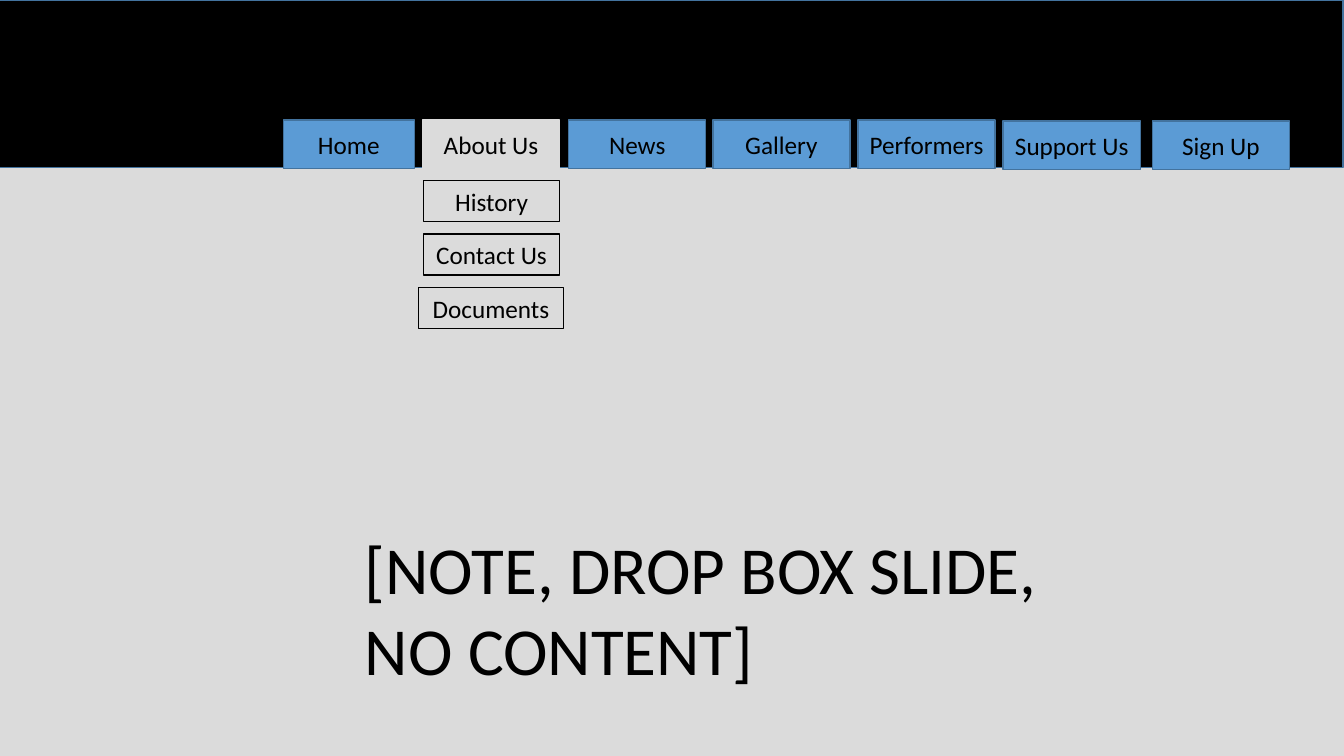
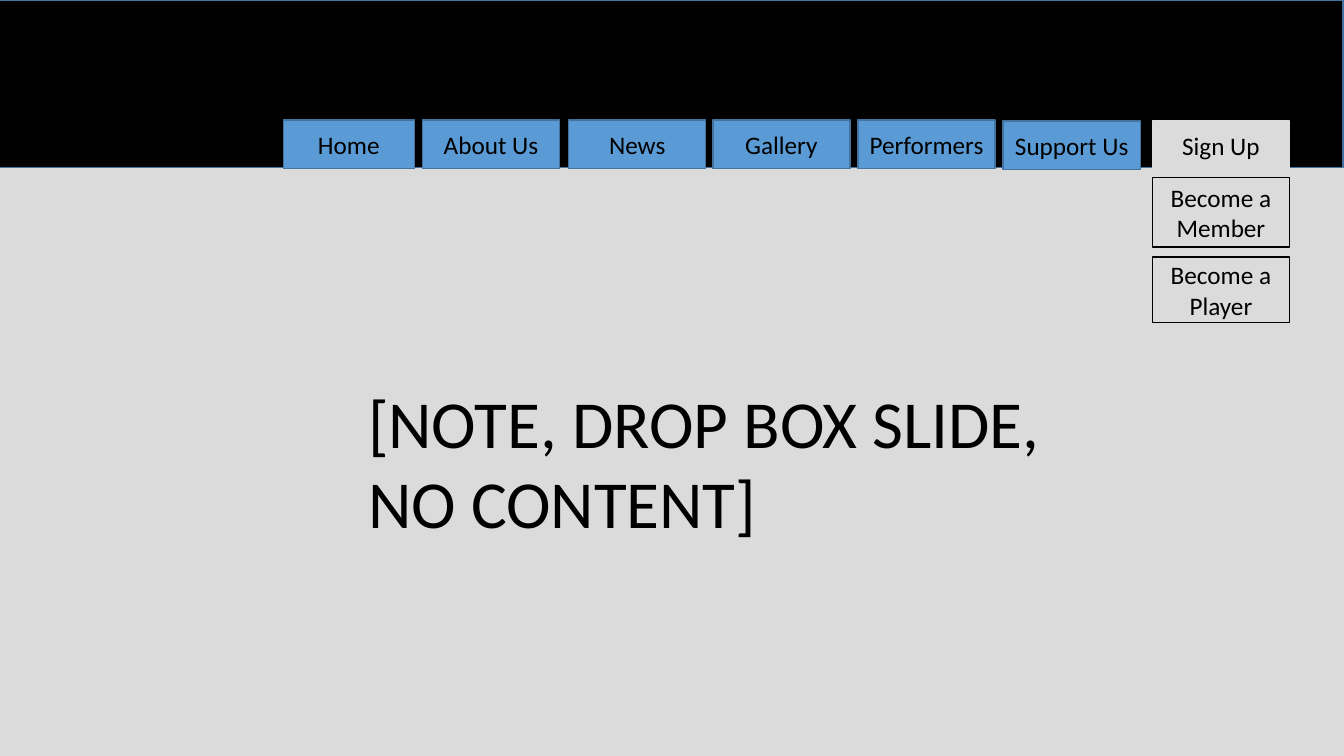
"""Build two website mock-up slides that show the open menus of a navigation bar."""
from dataclasses import dataclass

from pptx import Presentation
from pptx.dml.color import RGBColor
from pptx.enum.shapes import MSO_SHAPE
from pptx.enum.text import MSO_ANCHOR, MSO_AUTO_SIZE, PP_ALIGN
from pptx.util import Inches, Pt

RECT, PROCESS = MSO_SHAPE.RECTANGLE, MSO_SHAPE.FLOWCHART_PROCESS
TOP, MIDDLE = MSO_ANCHOR.TOP, MSO_ANCHOR.MIDDLE
LEFT, CENTER = PP_ALIGN.LEFT, PP_ALIGN.CENTER
NO_FIT = MSO_AUTO_SIZE.NONE
TITLE_ONLY = 5


@dataclass(frozen=True)
class Theme:
    font: str = "Calibri"
    ink: RGBColor = RGBColor(0x00, 0x00, 0x00)
    page: RGBColor = RGBColor(0xDB, 0xDB, 0xDB)
    tab: RGBColor = RGBColor(0x5B, 0x9B, 0xD5)
    edge: RGBColor = RGBColor(0x43, 0x73, 0x9E)
    label_size: Pt = Pt(18)
    note_size: Pt = Pt(48)
    line_width: Pt = Pt(1)


TABS = [
    ("Home", 2.81, 1.19, 1.3),
    ("About Us", 4.19, 1.19, 1.36),
    ("News", 5.64, 1.19, 1.36),
    ("Gallery", 7.07, 1.19, 1.36),
    ("Performers", 8.51, 1.19, 1.36),
    ("Support Us", 9.95, 1.2, 1.36),
    ("Sign Up", 11.43, 1.2, 1.36),
]
TAB_HEIGHT = 0.48
NOTE = "[NOTE, DROP BOX SLIDE, NO CONTENT]"

PAGES = [
    ("About Us", (3.52, 5.18), [
        ("History", 4.2, 1.79, 1.35, 0.41),
        ("Contact Us", 4.2, 2.32, 1.35, 0.41),
        ("Documents", 4.15, 2.85, 1.44, 0.41),
    ]),
    ("Sign Up", (3.55, 3.73), [
        ("Become a Member", 11.43, 1.76, 1.36, 0.69),
        ("Become a Player", 11.43, 2.55, 1.36, 0.65),
    ]),
]


class Deck:
    def __init__(self, theme):
        self.theme = theme
        self.prs = Presentation()
        self.prs.slide_width, self.prs.slide_height = Inches(13.33), Inches(7.5)

    def new_slide(self):
        self.s = self.prs.slides.add_slide(self.prs.slide_layouts[TITLE_ONLY])
        t = self.theme
        self.box(-0.01, 0, 13.33, 1.66, t.ink, t.edge, kind=PROCESS)
        self.box(-0.01, 1.67, 13.34, 5.83, t.page, t.page)

    def set_text(self, sp, text, size, align, anchor):
        tf = sp.text_frame
        frame = {"word_wrap": True, "auto_size": NO_FIT, "vertical_anchor": anchor}
        for name, value in frame.items():
            setattr(tf, name, value)
        p = tf.paragraphs[0]
        p.alignment = align
        r = p.add_run()
        r.text = text
        for name, value in {"name": self.theme.font, "size": size}.items():
            setattr(r.font, name, value)
        r.font.color.rgb = self.theme.ink

    def box(self, left, top, width, height, fill, line, text="", kind=RECT):
        sp = self.s.shapes.add_shape(kind, *map(Inches, (left, top, width, height)))
        sp.shadow.inherit = False
        sp.fill.solid()
        sp.fill.fore_color.rgb = fill
        sp.line.color.rgb = line
        sp.line.width = self.theme.line_width
        if text:
            self.set_text(sp, text, self.theme.label_size, CENTER, MIDDLE)

    def tabs(self, active):
        t = self.theme
        for label, left, top, width in TABS:
            colors = (t.page, t.page) if label == active else (t.tab, t.edge)
            self.box(left, top, width, TAB_HEIGHT, *colors, label)

    def menu(self, items):
        for label, *place in items:
            self.box(*place, self.theme.page, self.theme.ink, label)

    def note(self, left, top):
        sp = self.s.shapes.title
        place = {"left": left, "top": top, "width": 7.39, "height": 1.72}
        for name, value in place.items():
            setattr(sp, name, Inches(value))
        self.set_text(sp, NOTE, self.theme.note_size, LEFT, TOP)
        self.s.shapes.element.append(sp.element)


deck = Deck(Theme())
for active, note_at, items in PAGES:
    deck.new_slide()
    deck.menu(items)
    deck.note(*note_at)
    deck.tabs(active)
deck.prs.save("out.pptx")
